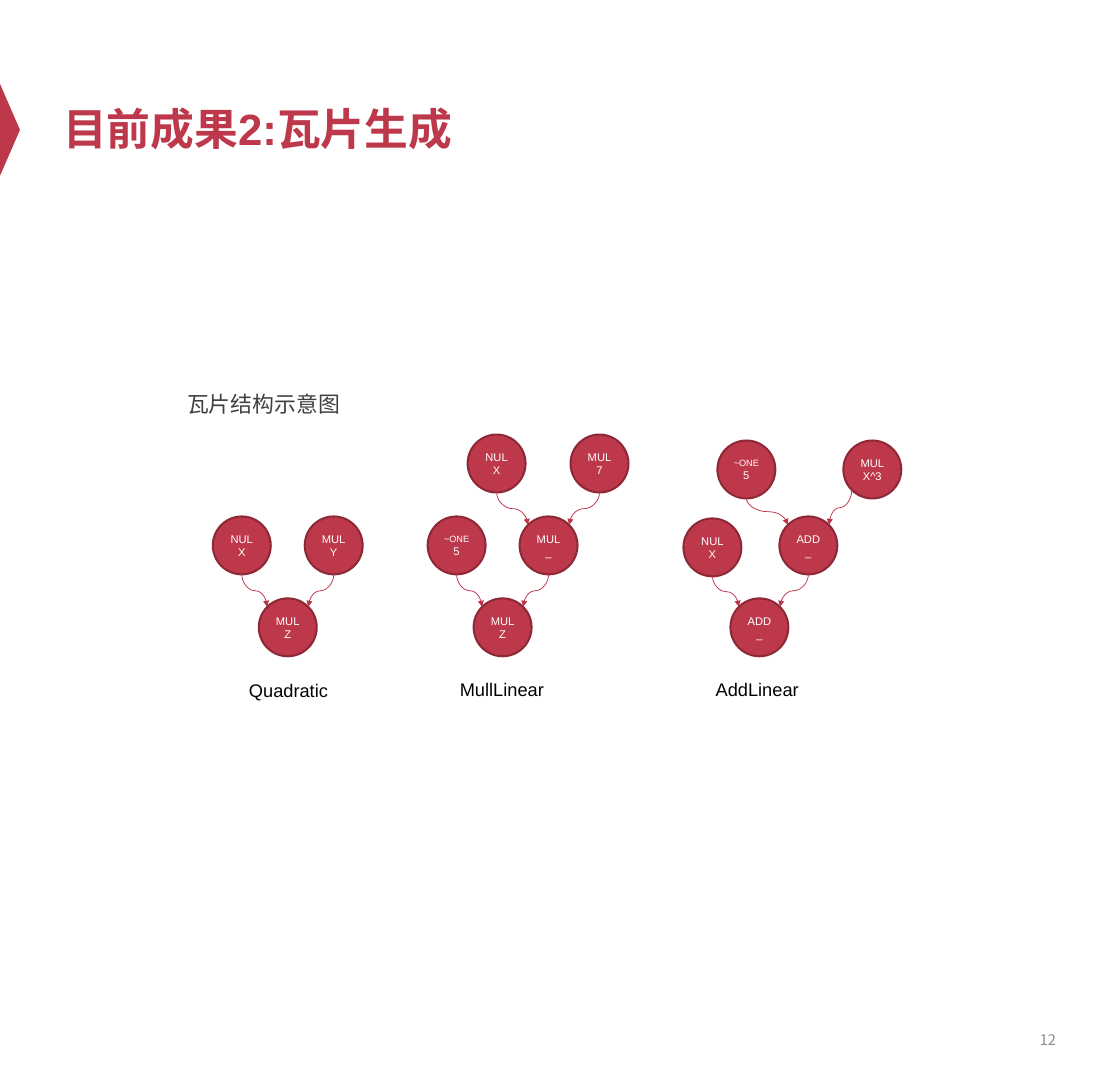
import pptx
import pptx.util
import pptx.dml.color
import pptx.enum.shapes
import pptx.enum.text
import pptx.oxml.ns
import lxml.etree

PX = 914400 / 73
RED, RIM, WIRE = "BE384B", "8D2937", "BD3347"
LATIN, CJK = "Arial", "Noto Sans CJK SC"
DIAMETER = 58
DIAGONAL = DIAMETER / 2 * 0.71  # from centre to the 45° point, along each axis

# Text boxes: text, (left, top, width, height), size, colour, font, options
TEXTS = [
    ("目前成果2:瓦片生成", (56, 37, 1009, 182), 43.2, RED, LATIN, {"bold": True, "anchor": "MIDDLE"}),
    ("12", (803, 1012, 261, 58), 14.4, "8C8C8C", CJK, {"align": "RIGHT", "anchor": "MIDDLE"}),
    ("瓦片结构示意图", (136, 382, 812, 398), 21.6, "404040", LATIN, {"indent": 44, "before": 4.3, "spacing": 1.2}),
    ("Quadratic", (242, 676, 104, 29), 18, "000000", LATIN, {}),
    ("MullLinear", (453, 675, 104, 29), 18, "000000", LATIN, {}),
    ("AddLinear", (709, 675, 104, 29), 18, "000000", LATIN, {}),
]

# Tiles: nodes as name: (operator, operand, centre x, centre y), then edges
TILES = [
    ({"left": ("NUL", "X", 242, 546), "right": ("MUL", "Y", 334, 546),
      "root": ("MUL", "Z", 288, 628)},
     [("left", "root"), ("right", "root")]),
    ({"left": ("~ONE", "5", 457, 546), "inner": ("MUL", "_", 549, 546),
      "root": ("MUL", "Z", 503, 628),
      "top left": ("NUL", "X", 497, 464), "top right": ("MUL", "7", 600, 464)},
     [("left", "root"), ("inner", "root"), ("top left", "inner"), ("top right", "inner")]),
    ({"left": ("NUL", "X", 713, 548), "inner": ("ADD", "_", 809, 546),
      "root": ("ADD", "_", 760, 628),
      "top left": ("~ONE", "5", 747, 470), "top right": ("MUL", "X^3", 873, 470)},
     [("left", "root"), ("inner", "root"), ("top left", "inner"), ("top right", "inner")]),
]
CORNER_STARTS = {"X^3"}  # operands whose edge leaves from the lower left


def px(length):
    return pptx.util.Emu(round(length * PX))


def colour(code):
    return pptx.dml.color.RGBColor.from_string(code)


def add_child(parent, tag, **attributes):
    return lxml.etree.SubElement(parent, pptx.oxml.ns.qn(tag), **attributes)


def add_span(para, text, size, code, font=LATIN, bold=False):
    span = para.add_run()
    span.text = text
    span.font.size = pptx.util.Pt(size)
    span.font.bold = bold
    span.font.color.rgb = colour(code)
    span.font.name = font
    add_child(span.font._element, "a:ea", typeface=CJK)


def add_text(page, text, place, size, code, font, options):
    box = page.shapes.add_textbox(*map(px, place))
    frame = box.text_frame
    frame.word_wrap = True
    frame.vertical_anchor = pptx.enum.text.MSO_ANCHOR[options.get("anchor", "TOP")]
    para = frame.paragraphs[0]
    para.alignment = pptx.enum.text.PP_ALIGN[options.get("align", "LEFT")]
    para.line_spacing = options.get("spacing", 1.0)
    para.space_before = pptx.util.Pt(options.get("before", 0))
    if "indent" in options:
        para._p.get_or_add_pPr().set("marL", str(px(options["indent"])))
    add_span(para, text, size, code, font, options.get("bold", False))


def add_node(page, operator, operand, x, y):
    node = page.shapes.add_shape(pptx.enum.shapes.MSO_SHAPE.OVAL, px(x - DIAMETER / 2),
                                 px(y - DIAMETER / 2), px(DIAMETER), px(DIAMETER))
    node.shadow.inherit = False
    node.fill.solid()
    node.fill.fore_color.rgb = colour(RED)
    node.line.color.rgb = colour(RIM)
    node.line.width = pptx.util.Pt(2)
    frame = node.text_frame
    frame.word_wrap = False
    frame.margin_left = frame.margin_right = frame.margin_top = frame.margin_bottom = 0
    frame.vertical_anchor = pptx.enum.text.MSO_ANCHOR.MIDDLE
    for para, text in ((frame.paragraphs[0], operator), (frame.add_paragraph(), operand)):
        para.alignment = pptx.enum.text.PP_ALIGN.CENTER
        add_span(para, text, 9 if text == "~ONE" else 11, "FFFFFF")


def add_edge(page, parent, child):
    operand, x1, y1 = parent[1:]
    x2, y2 = child[2:]
    side = 1 if x2 > x1 else -1
    if operand in CORNER_STARTS:
        x1, y1 = x1 + side * DIAGONAL, y1 + DIAGONAL
    else:
        y1 += DIAMETER / 2
    x2, y2 = x2 - side * DIAGONAL, y2 - DIAGONAL
    # The curve is laid out sideways about its middle, then turned to run downwards
    middle_x, middle_y = (x1 + x2) / 2, (y1 + y2) / 2
    half_run, half_rise = (y2 - y1) / 2, abs(x2 - x1) / 2
    edge = page.shapes.add_connector(
        pptx.enum.shapes.MSO_CONNECTOR.CURVE,
        px(middle_x + side * half_run), px(middle_y - half_rise),
        px(middle_x - side * half_run), px(middle_y + half_rise))
    frame = edge._element.spPr.find(pptx.oxml.ns.qn("a:xfrm"))
    frame.set("rot", str((270 if side > 0 else 90) * 60000))
    if side < 0:
        frame.attrib.pop("flipH", None)
    edge.line.color.rgb = colour(WIRE)
    edge.line.width = pptx.util.Pt(0.75)
    add_child(edge.line._get_or_add_ln(), "a:tailEnd", type="triangle")
    add_child(edge._element.spPr, "a:effectLst")


def main():
    deck = pptx.Presentation()
    deck.slide_width = pptx.util.Cm(39)
    deck.slide_height = pptx.util.Cm(38)
    page = deck.slides.add_slide(deck.slide_layouts[6])

    # Marker beside the title
    marker = page.shapes.add_shape(pptx.enum.shapes.MSO_SHAPE.ISOSCELES_TRIANGLE,
                                   px(-36), px(120), px(92), px(20))
    marker.rotation = 90
    marker.shadow.inherit = False
    marker.fill.solid()
    marker.fill.fore_color.rgb = colour(RED)
    marker.line.fill.background()

    # Title, page number, caption and tile names
    for entry in TEXTS:
        add_text(page, *entry)

    # Tile trees
    for nodes, edges in TILES:
        for node in nodes.values():
            add_node(page, *node)
        for parent, child in edges:
            add_edge(page, nodes[parent], nodes[child])

    deck.save("out.pptx")


if __name__ == "__main__":
    main()
